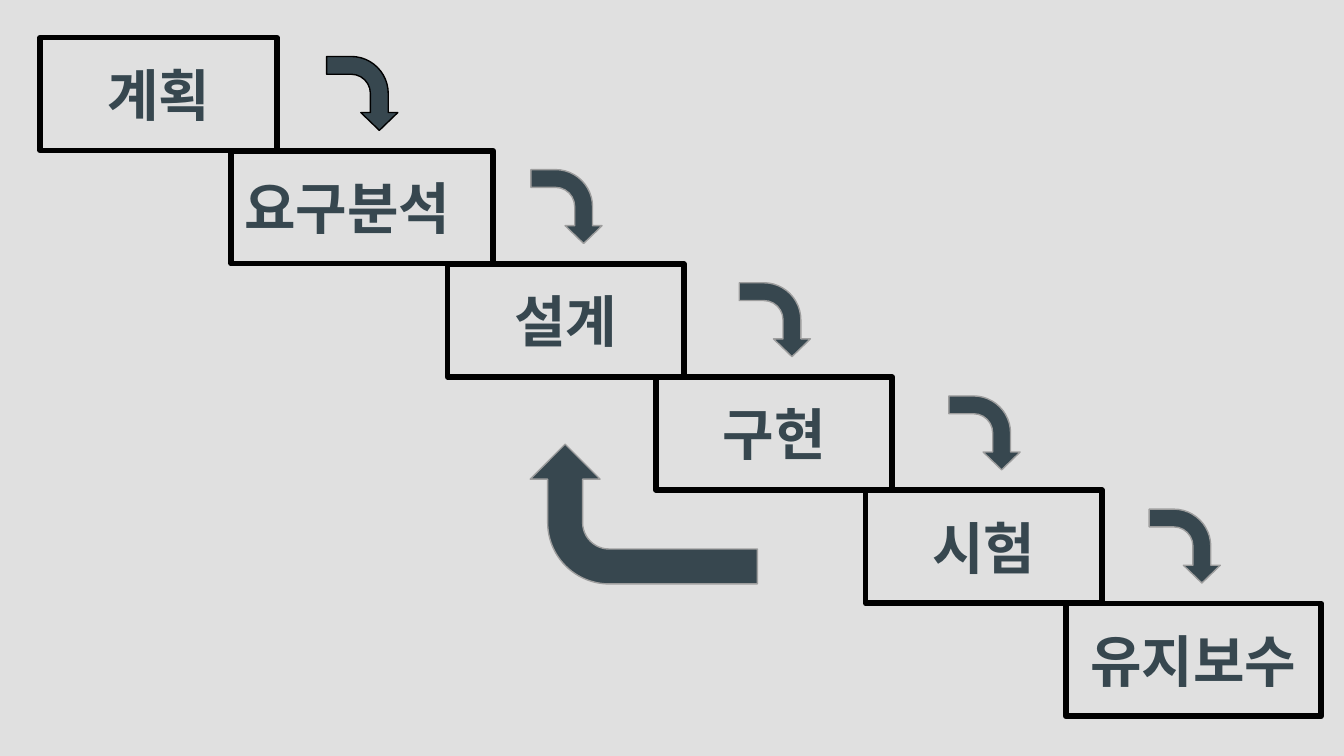
from lxml.etree import SubElement
from pptx import Presentation
from pptx.dml.color import RGBColor
from pptx.enum.shapes import MSO_SHAPE as SHAPE
from pptx.enum.text import MSO_ANCHOR as ANCHOR, PP_ALIGN as ALIGN
from pptx.oxml.ns import qn
from pptx.util import Inches, Pt

COLORS = {"background": "E0E0E0", "slate": "37474F", "black": "000000", "gray": "9E9E9E"}
FONT = "Roboto Condensed"
SLIDE_WIDTH = Inches(10)
SLIDE_HEIGHT = SLIDE_WIDTH * 9 // 16
STEP_HEIGHT = 0.84
FIRST_TOP, LAST_TOP = 0.28, 4.49
ARROW_WIDTH, ARROW_HEIGHT = 0.55, 0.53
ARROW_DROP = 0.15

# name, left, width, alignment, offset of the arrow pointing into the step, arrow outline
STEPS = [
    ("계획", 0.30, 1.76, ALIGN.CENTER, None, None),
    ("요구분석", 1.72, 1.95, ALIGN.LEFT, 0.70, "black"),
    ("설계", 3.33, 1.76, ALIGN.CENTER, 0.61, "gray"),
    ("구현", 4.88, 1.76, ALIGN.CENTER, 0.61, "gray"),
    ("시험", 6.44, 1.76, ALIGN.CENTER, 0.61, "gray"),
    ("유지보수", 7.93, 1.90, ALIGN.CENTER, 0.61, "gray"),
]


def rgb(name):
    return RGBColor.from_string(COLORS[name])


def add_outlined(slide, kind, box, line_color, line_width):
    """Add a preset shape without shadow, outlined with round corners."""
    shape = slide.shapes.add_shape(kind, *map(Inches, box))
    shape.shadow.inherit = False
    shape.line.color.rgb = rgb(line_color)
    shape.line.width = Pt(line_width)
    SubElement(shape.element.spPr.find(qn("a:ln")), qn("a:round"))
    return shape


def add_step(slide, box, name, alignment):
    step = add_outlined(slide, SHAPE.RECTANGLE, box, "black", 3)
    step.fill.background()
    frame = step.text_frame
    frame.word_wrap = True
    frame.vertical_anchor = ANCHOR.MIDDLE
    for side in ("left", "top", "right", "bottom"):
        setattr(frame, f"margin_{side}", Inches(0.1))
    paragraph = frame.paragraphs[0]
    paragraph.alignment = alignment
    label = paragraph.add_run()
    label.text = name
    for attribute, value in {"name": FONT, "size": Pt(30), "bold": True}.items():
        setattr(label.font, attribute, value)
    label.font.color.rgb = rgb("slate")


def add_bent_arrow(slide, box, rotation, adjustments, line_color):
    arrow = add_outlined(slide, SHAPE.BENT_ARROW, box, line_color, 0.75)
    arrow.fill.solid()
    arrow.fill.fore_color.rgb = rgb("slate")
    arrow.rotation = rotation
    for index, value in enumerate(adjustments):
        arrow.adjustments[index] = value


def add_waterfall(slide, first_top, last_top):
    """Place the steps as a staircase, with an arrow leading down into each."""
    pitch = (last_top - first_top) / (len(STEPS) - 1)
    tops = [first_top + pitch * index for index in range(len(STEPS))]
    for top, (name, left, width, alignment, _, _) in zip(tops, STEPS):
        add_step(slide, (left, top, width, STEP_HEIGHT), name, alignment)
    for top, (_, left, _, _, offset, outline) in zip(tops, STEPS[1:]):
        box = (left + offset, top + ARROW_DROP, ARROW_WIDTH, ARROW_HEIGHT)
        add_bent_arrow(slide, box, 90, (0.25, 0.26, 0.25, 0.52), outline)


def main():
    deck = Presentation()
    deck.slide_width, deck.slide_height = SLIDE_WIDTH, SLIDE_HEIGHT
    slide = deck.slides.add_slide(deck.slide_layouts[6])
    slide.background.fill.solid()
    slide.background.fill.fore_color.rgb = rgb("background")
    add_waterfall(slide, FIRST_TOP, LAST_TOP)
    feedback_box = (4.27, 2.98, 1.04, 1.69)
    add_bent_arrow(slide, feedback_box, 270, (0.25, 0.25, 0.25, 0.44), "gray")
    deck.save("out.pptx")


if __name__ == "__main__":
    main()
